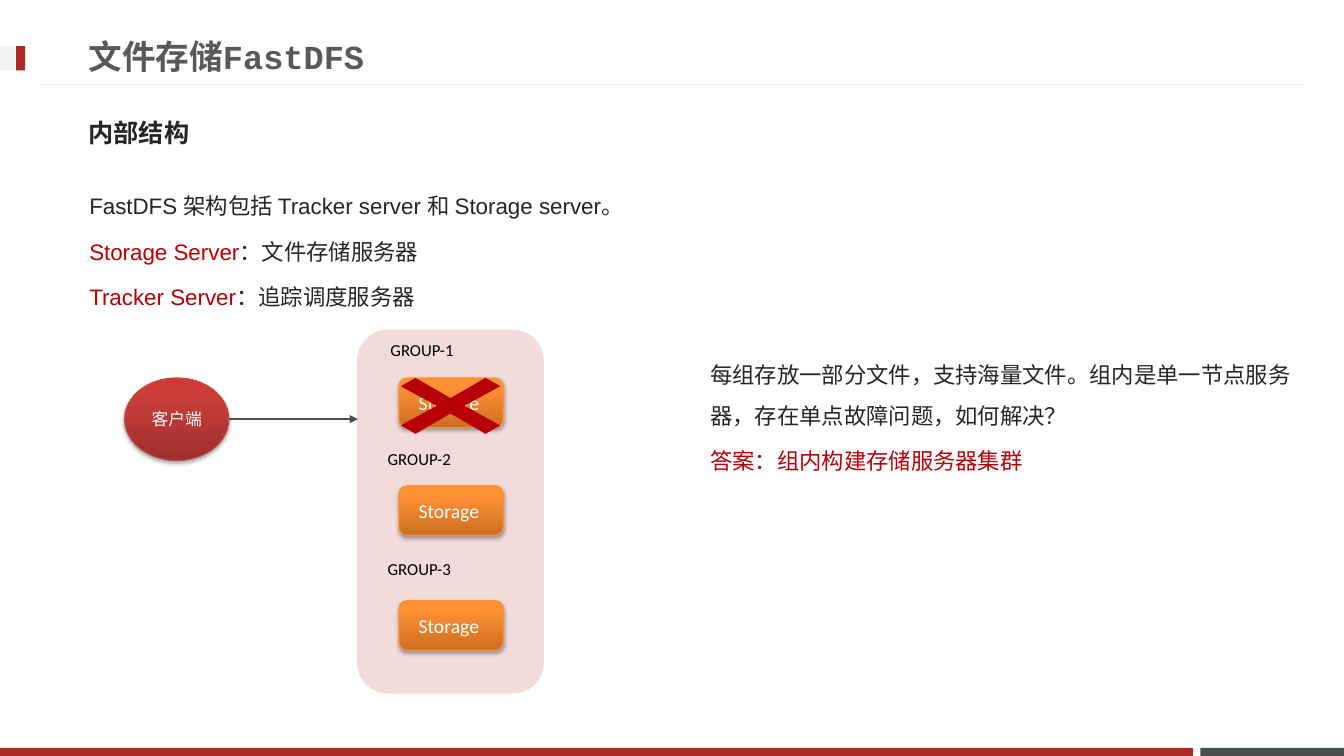
"""Build the FastDFS internal structure slide."""
from pptx import Presentation
from pptx.dml.color import RGBColor
from pptx.enum.shapes import MSO_CONNECTOR, MSO_SHAPE
from pptx.enum.text import MSO_ANCHOR, PP_ALIGN
from pptx.oxml import parse_xml
from pptx.oxml.ns import nsdecls, qn
from pptx.util import Pt

RECT, ROUND = MSO_SHAPE.RECTANGLE, MSO_SHAPE.ROUNDED_RECTANGLE
OVAL = MSO_SHAPE.FLOWCHART_CONNECTOR
LINE = MSO_CONNECTOR.STRAIGHT
TOP, MID = MSO_ANCHOR.TOP, MSO_ANCHOR.MIDDLE
LEFT, MIDDLE = PP_ALIGN.LEFT, PP_ALIGN.CENTER
HAN = "Noto Sans CJK JP"
NS = nsdecls("a")
HEX = {
    "red": "AD2B26", "slate": "49504F", "pale": "F2F2F2", "pink": "F2DCDB",
    "ink": "262626", "gray": "595959", "black": "000000", "white": "FFFFFF",
    "rose": "C00000", "deep": "B70006", "amber": "F69240", "brick": "BF4C48",
}
RGB = {name: RGBColor.from_string(code) for name, code in HEX.items()}
GLOW = {
    "amber": ((0, "CC6E20"), (80, "FF9034"), (100, "FF9136")),
    "brick": ((0, "9C2F2D"), (80, "CB3E3A"), (100, "CE3B37")),
}

deck = Presentation()
deck.slide_width, deck.slide_height = Pt(960), Pt(540)
slide = deck.slides.add_slide(deck.slide_layouts[6])
shapes = slide.shapes


def box(kind, spot, tone):
    """Add a filled shape, glossy and outlined if the tone has a gradient."""
    shape = shapes.add_shape(kind, *map(Pt, spot))
    shape.shadow.inherit = False
    if tone not in GLOW:
        shape.fill.solid()
        shape.fill.fore_color.rgb = RGB[tone]
        shape.line.fill.background()
        return shape
    shape.fill.gradient()
    shape.line.color.rgb = RGB[tone]
    shape.line.width = Pt(0.75)
    stops = "".join(
        f'<a:gs pos="{pos * 1000}"><a:srgbClr val="{code}"/></a:gs>'
        for pos, code in GLOW[tone])
    prop = shape.element.spPr
    prop.replace(prop.find(qn("a:gradFill")), parse_xml(
        f'<a:gradFill {NS} rotWithShape="1"><a:gsLst>{stops}</a:gsLst>'
        '<a:lin ang="16200000" scaled="0"/></a:gradFill>'))
    prop.find(qn("a:effectLst")).append(parse_xml(
        f'<a:outerShdw {NS} blurRad="{Pt(3.1)}" dist="{Pt(1.8)}" dir="5400000" '
        'rotWithShape="0"><a:srgbClr val="000000"><a:alpha val="35000"/>'
        '</a:srgbClr></a:outerShdw>'))
    return shape


def write(shape, paras, size, face, bold=False, align=LEFT, anchor=MID, lead=None):
    """Fill a shape with paragraphs of (text, tone) runs."""
    frame = shape.text_frame
    frame.word_wrap, frame.vertical_anchor = True, anchor
    style = {"size": Pt(size), "name": face, "bold": bold}
    for num, runs in enumerate(paras):
        para = frame.add_paragraph() if num else frame.paragraphs[0]
        para.alignment = align
        if lead:
            para.line_spacing = Pt(lead)
        if num:
            para.space_before = Pt(3)
        for words, tone in runs:
            run = para.add_run()
            run.text = words
            for key, value in style.items():
                setattr(run.font, key, value)
            run.font.color.rgb = RGB[tone]
            run.font._element.append(parse_xml(f'<a:ea {NS} typeface="{HAN}"/>'))


for spot, tone in (
    ((857.5, 534.2, 102.5, 5.8), "slate"),
    ((0, 534.2, 852, 5.8), "red"),
    ((0, 33, 18, 17.3), "pale"),
    ((11.5, 33, 6.5, 17.3), "red"),
):
    box(RECT, spot, tone)
box(ROUND, (255, 235.5, 133.5, 260), "pink")

body = {"size": 16, "face": "Arial", "anchor": TOP, "lead": 29.3}
for spot, paras, form in (
    ((56.2, 19.4, 690, 41), [[("文件存储FastDFS", "gray")]],
     {"size": 24, "face": "Courier New", "bold": True}),
    ((56.2, 74.2, 847, 41), [[("内部结构", "ink")]],
     {"size": 18, "face": HAN, "bold": True}),
    ((56.7, 123.8, 847, 111.6), [
        [("FastDFS 架构包括 Tracker server 和 Storage server。", "ink")],
        [("Storage Server", "rose"), ("：文件存储服务器", "ink")],
        [("Tracker Server", "deep"), ("：追踪调度服务器", "ink")],
    ], body),
    ((500.2, 244, 442, 111.6), [
        [("每组存放一部分文件，支持海量文件。组内是单一节点服务器，存在单点故障问题，如何解决？", "ink")],
        [("答案：组内构建存储服务器集群", "deep")],
    ], body),
):
    write(shapes.add_textbox(*map(Pt, spot)), paras, **form)

client = box(OVAL, (89, 270, 74.5, 59), "brick")
write(client, [[("客户端", "white")]], 12, "Calibri", align=MIDDLE)

for num, (left, top, store) in enumerate(
        ((254, 233, 270), (252, 311, 347), (252, 389.5, 429)), 1):
    node = box(ROUND, (285, store, 74.5, 35.5), "amber")
    write(node, [[("Storage ", "white")]], 14, "Calibri", align=MIDDLE)
    label = shapes.add_textbox(Pt(left), Pt(top), Pt(95), Pt(34))
    write(label, [[(f"GROUP-{num}", "black")]], 12, "Calibri", align=MIDDLE)

for ends, tone, width, head in (
    ((934.5, 60.3, 25.5, 60.3), "pale", 0.75, False),
    ((163.5, 299.4, 255.6, 299.4), "slate", 1.5, True),
):
    link = shapes.add_connector(LINE, *map(Pt, ends))
    link.line.color.rgb = RGB[tone]
    link.line.width = Pt(width)
    if head:
        link.line._get_or_add_ln().append(parse_xml(f'<a:tailEnd {NS} type="triangle"/>'))
    link.element.spPr.append(parse_xml(f"<a:effectLst {NS}/>"))

half = [(10, 0), (35.5, 14), (25, 20), (0, 5.5), (-25, 20), (-35.5, 14)]
ring = [(Pt(321.8 + sign * x), Pt(289.9 + sign * y)) for sign in (1, -1) for x, y in half]
path = shapes.build_freeform(*ring[0])
path.add_line_segments(ring[1:], close=True)
cross = path.convert_to_shape()
cross.shadow.inherit = False
cross.fill.solid()
cross.fill.fore_color.rgb = RGB["deep"]
cross.line.fill.background()

deck.save("out.pptx")
